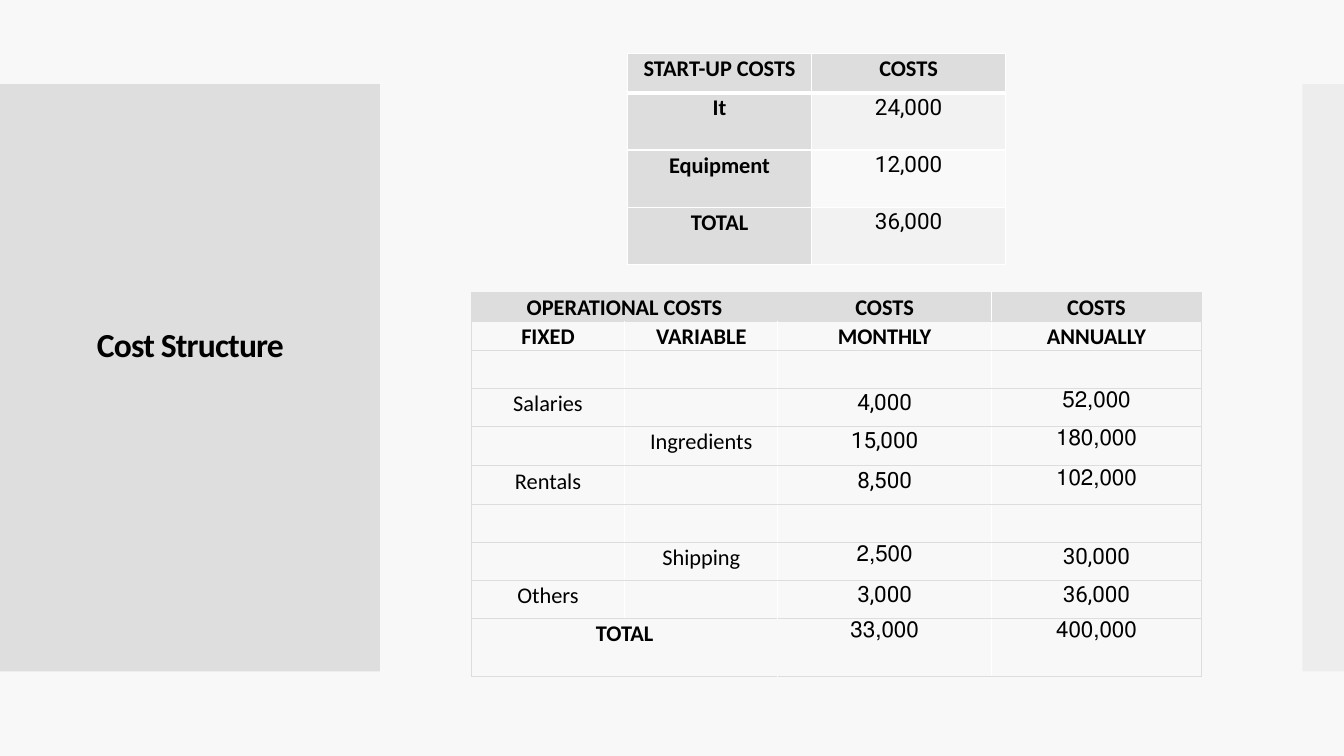
"""Build the cost structure slide with start-up and operational cost tables."""
from lxml.etree import SubElement
from pptx import Presentation
from pptx.dml.color import RGBColor
from pptx.enum.shapes import MSO_SHAPE as Shape
from pptx.enum.text import MSO_ANCHOR as Anchor, PP_ALIGN as Align
from pptx.oxml.ns import qn
from pptx.util import Pt

GREY, WHITE, BLACK, PAPER = "DDDDDD", "FFFFFF", "000000", "F8F8F8"


def paint(fill, color):
    fill.solid()
    fill.fore_color.rgb = RGBColor.from_string(color)


def format_cell(cell, text, bold, fill, borders):
    cell.margin_left = cell.margin_right = Pt(5)
    cell.margin_top = cell.margin_bottom = 0
    properties = cell._tc.get_or_add_tcPr()
    for side, (color, width) in zip("LRTB", borders):
        line = SubElement(properties, qn(f"a:ln{side}"), w=str(Pt(width)))
        SubElement(SubElement(line, qn("a:solidFill")), qn("a:srgbClr"), val=color)
    paint(cell.fill, fill)
    cell.text = text
    paragraph = cell.text_frame.paragraphs[0]
    paragraph.alignment = Align.CENTER
    paragraph.line_spacing = 1.07
    paragraph.font.size = Pt(16)
    paragraph.font.bold = bold
    paragraph.font.name = "Roboto" if text[:1].isdigit() else "Calibri"
    paint(paragraph.font.fill, BLACK)
    if text in right_to_left:
        paragraph._p.get_or_add_pPr().set("rtl", "1")


presentation = Presentation()
presentation.slide_width, presentation.slide_height = Pt(960), Pt(540)
slide = presentation.slides.add_slide(presentation.slide_layouts[6])
paint(slide.background.fill, PAPER)

for left, width, opacity in [(0, 271.4, 95), (930.4, 29.6, 40)]:
    panel = slide.shapes.add_shape(Shape.RECTANGLE, Pt(left), Pt(60), Pt(width), Pt(419.5))
    panel.shadow.inherit = False
    panel.line.fill.background()
    paint(panel.fill, GREY)
    color_element = panel._element.spPr.find(".//" + qn("a:srgbClr"))
    SubElement(color_element, qn("a:alpha"), val=str(opacity * 1000))

title = slide.shapes.add_textbox(Pt(20), Pt(88.5), Pt(232), Pt(318))
title.text_frame.word_wrap = True
title.text_frame.vertical_anchor = Anchor.MIDDLE
paragraph = title.text_frame.paragraphs[0]
paragraph.alignment = Align.CENTER
paragraph.line_spacing = 0.9
run = paragraph.add_run()
run.text = "Cost Structure"
run.font.size, run.font.bold, run.font.name = Pt(24), True, "Calibri"
paint(run.font.fill, BLACK)
run._r.get_or_add_rPr().set("spc", "-60")

right_to_left = {"52,000", "180,000", "102,000", "2,500", "36,000 ", "33,000", "400,000"}
operational_rows = [
    ("OPERATIONAL COSTS", "", "COSTS", "COSTS"),
    ("FIXED", "VARIABLE", "MONTHLY", "ANNUALLY"),
    ("", "", "", ""),
    ("Salaries", "", "4,000", "52,000"),
    ("", "Ingredients", "15,000", "180,000"),
    ("Rentals", "", "8,500", "102,000"),
    ("", "", "", ""),
    ("", "Shipping", "2,500", "30,000"),
    ("Others", "", "3,000", "36,000"),
    ("TOTAL", "", "33,000", "400,000"),
]
startup_rows = [
    ("START-UP COSTS", "COSTS"),
    ("It", "24,000"),
    ("Equipment", "12,000"),
    ("TOTAL", "36,000"),
]
operational_heights = [20.8, 20.8, 27.2, 27.2, 28.3, 27.2, 27.2, 27.2, 27.2, 41.4]
tables = []
for rows, left, top, widths, heights in [
    (operational_rows, 336.7, 208.6, [109.5, 109.5, 152.5, 150.2], operational_heights),
    (startup_rows, 448.5, 38.2, [131, 139], [28, 41, 41, 41]),
]:
    frame = slide.shapes.add_table(
        len(rows), len(widths), Pt(left), Pt(top), Pt(sum(widths)), Pt(sum(heights)))
    table = frame.table
    table.first_row = table.horz_banding = False
    for column, width in zip(table.columns, widths):
        column.width = Pt(width)
    for table_row, height in zip(table.rows, heights):
        table_row.height = Pt(height)
    tables.append(table)
operational, startup = tables

edge, divider, header_rule = (GREY, 0.75), (WHITE, 1), (WHITE, 3)
last_row = len(operational_rows) - 1
for row, texts in enumerate(operational_rows):
    fill = PAPER if row else GREY
    for column, text in enumerate(texts):
        seam = (fill, 1) if row in (0, last_row) else divider
        sides = [edge, seam, seam, divider, edge]
        borders = [sides[column], sides[column + 1], edge, edge]
        bold = row < 2 or text == "TOTAL"
        format_cell(operational.cell(row, column), text, bold, fill, borders)
for row in (0, last_row):
    operational.cell(row, 0).merge(operational.cell(row, 1))

value_fills = [GREY, "F2F2F2", "F9F9F9", "F2F2F2"]
rules = [divider, header_rule, divider, divider, divider]
for row, texts in enumerate(startup_rows):
    for column, text in enumerate(texts):
        fill = value_fills[row] if column else GREY
        borders = [divider, divider, rules[row], rules[row + 1]]
        format_cell(startup.cell(row, column), text, row == 0 or column == 0, fill, borders)

presentation.save("out.pptx")
